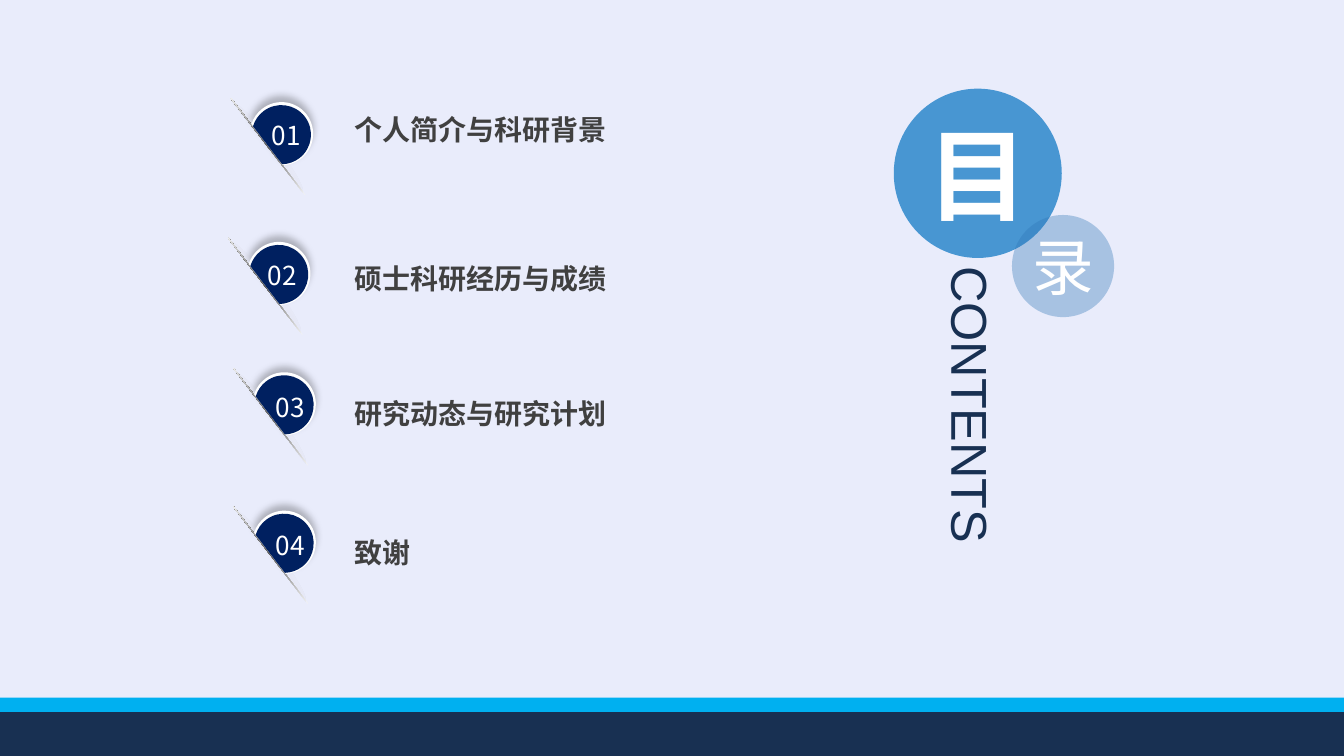
from math import cos, radians, sin, tan

from lxml import etree
from pptx import Presentation
from pptx.dml.color import RGBColor
from pptx.enum.shapes import MSO_SHAPE
from pptx.enum.text import MSO_ANCHOR, MSO_AUTO_SIZE, PP_ALIGN
from pptx.oxml.ns import qn
from pptx.util import Inches, Pt

RECT, OVAL = MSO_SHAPE.RECTANGLE, MSO_SHAPE.OVAL
MIDDLE, TOP = MSO_ANCHOR.MIDDLE, MSO_ANCHOR.TOP
CENTER, LEFT = PP_ALIGN.CENTER, PP_ALIGN.LEFT
GROW = MSO_AUTO_SIZE.SHAPE_TO_FIT_TEXT

PALE = RGBColor(0xE9, 0xEC, 0xFB)
WHITE = RGBColor(0xFF, 0xFF, 0xFF)
BLACK = RGBColor(0, 0, 0)
BLUE = RGBColor(0x00, 0x70, 0xC0)
STEEL = RGBColor(0x2E, 0x75, 0xB6)
SKY = RGBColor(0x00, 0xB0, 0xF0)
DARK = RGBColor(0x18, 0x30, 0x52)
NAVY = RGBColor(0x00, 0x20, 0x60)
INK = RGBColor(0x40, 0x40, 0x40)
MIST = RGBColor(0xF2, 0xF2, 0xF2)
GRAY = RGBColor(0x80, 0x80, 0x80)
STONE = RGBColor(0x59, 0x59, 0x59)
CJK = "Noto Sans CJK SC"

# Content: number, topic, badge corner, number corner, topic top, topic width
ITEMS = [
    ("01", "个人简介与科研背景", (1.54, 1.09), (1.95, 0.84), 0.66, 3.06),
    ("02", "硕士科研经历与成绩", (1.52, 2.13), (1.92, 1.88), 1.77, 3.06),
    ("03", "研究动态与研究计划", (1.56, 3.10), (1.98, 2.86), 2.78, 2.9),
    ("04", "致谢", (1.56, 4.13), (1.98, 3.89), 3.81, 2.9),
]
# Title discs: text, box, fill, opacity, font
DISCS = [
    ("目", (6.65, 0.66, 1.25, 1.26), BLUE, 69,
     dict(size=Pt(54), name=CJK, bold=True)),
    ("录", (7.53, 1.6, 0.76, 0.76), STEEL, 35, dict(size=Pt(33), name=CJK)),
]
BANDS = [(5.19, SKY), (5.3, DARK)]
TILT = 52.5
WIDE, HIGH = 10, 10 * 9 / 16

# Shade under the fold: a start, then three points for each curve
WEDGE = [(0, 0.06), (0.02, 0.03), (0.2, 0), (0.43, 0),
         (0.65, 0), (0.83, 0.02), (0.85, 0.06)]

deck = Presentation()
deck.slide_width, deck.slide_height = Inches(WIDE), Inches(HIGH)
slide = deck.slides.add_slide(deck.slide_layouts[6])
shapes = slide.shapes


def add(parent, tag, **attrs):
    node = etree.SubElement(parent, qn(tag))
    for key, val in attrs.items():
        node.set(key, str(val))
    return node


def fade(node, share):
    add(node, "a:alpha", val=share * 1000)


def clean(shape):
    shape.shadow.inherit = False
    shape.line.fill.background()


def paint(shape, color, share=100):
    clean(shape)
    shape.fill.solid()
    shape.fill.fore_color.rgb = color
    if share < 100:
        fade(next(shape._element.spPr.iter(qn("a:srgbClr"))), share)


def blend(shape, stops, angle):
    clean(shape)
    shape.fill.gradient()
    shape.fill.gradient_angle = (360 - angle) % 360
    slots = next(shape._element.spPr.iter(qn("a:gsLst")))
    for old in list(slots):
        slots.remove(old)
    for place, color, share in stops:
        stop = add(slots, "a:gs", pos=place * 1000)
        tint = add(stop, "a:srgbClr", val=color)
        if share < 100:
            fade(tint, share)


def write(shape, text, font, color, align=LEFT, anchor=MIDDLE,
          inset=(0, 0), space=None, fit=None):
    frame = shape.text_frame
    frame.word_wrap = True
    side, edge = map(Inches, inset)
    values = dict(margin_left=side, margin_right=side, margin_top=edge,
                  margin_bottom=edge, vertical_anchor=anchor)
    if fit:
        values["auto_size"] = fit
    for key, val in values.items():
        setattr(frame, key, val)
    para = frame.paragraphs[0]
    para.alignment, para.line_spacing = align, space
    run = para.add_run()
    run.text = text
    for key, val in font.items():
        setattr(run.font, key, val)
    run.font.color.rgb = color
    add(run._r.get_or_add_rPr(), "a:ea", typeface=font["name"])


def box(kind, place):
    return shapes.add_shape(kind, *map(Inches, place))


def label(place, *args, **opts):
    area = shapes.add_textbox(*map(Inches, place))
    write(area, *args, **opts)
    return area


def outline(points, left, top):
    """Closed curve: each three points after the first make one Bézier."""
    spots = [(Inches(x), Inches(y)) for x, y in points]
    pen = shapes.build_freeform(*spots[0])
    pen.add_line_segments(spots[1:], close=True)
    shape = pen.convert_to_shape(Inches(left), Inches(top))
    shape.rotation = TILT
    route = next(shape._element.spPr.iter(qn("a:path")))
    lines = route.findall(qn("a:lnTo"))[:len(points) - 1]
    for first in range(0, len(lines), 3):
        bend = etree.Element(qn("a:cubicBezTo"))
        lines[first].addprevious(bend)
        for line in lines[first:first + 3]:
            bend.append(line[0])
            route.remove(line)
    return shape


def dome(radius, cut):
    """Circle with its lower part cut off, cut degrees below the middle."""
    turns = [radians(a) for a in (180 - cut, 180, 270, 360, 360 + cut)]

    def spot(turn, pull=0):
        return (radius * (1 + cos(turn) - pull * sin(turn)),
                radius * (1 + sin(turn) + pull * cos(turn)))

    points = [spot(turns[0])]
    for start, end in zip(turns, turns[1:]):
        pull = 4 / 3 * tan((end - start) / 4)
        points += [spot(start, pull), spot(end, -pull), spot(end)]
    return points


def badge(left, top):
    # Fold line and its soft shade
    fold = box(RECT, (left, top, 0.91, 0))
    fold.height = Pt(0.3)
    fold.rotation = TILT
    blend(fold, [(2, MIST, 100), (50, STONE, 100), (100, MIST, 100)], 180)
    blend(outline(WEDGE, left + 0.05, top - 0.04),
          [(26, MIST, 0), (100, GRAY, 27)], 90)
    # White rim with shadow, then the navy face
    rim = outline(dome(0.235, 35), left + 0.36, top - 0.31)
    paint(rim, WHITE)
    cast = add(rim._element.spPr.find(qn("a:effectLst")), "a:outerShdw",
               blurRad=Pt(4), dist=Pt(3), dir=270 * 60000, rotWithShape=0)
    fade(add(cast, "a:srgbClr", val=BLACK), 25)
    paint(outline(dome(0.22, 36), left + 0.37, top - 0.29), NAVY)


# Backdrop
paint(box(RECT, (0, 0, WIDE, HIGH)), PALE)

# Title
for text, place, color, share, font in DISCS:
    disc = box(OVAL, place)
    paint(disc, color, share)
    write(disc, text, font, WHITE, CENTER)
side = label((6.98, 1.98, 0.5, 2.25), "CONTENTS",
             dict(size=Pt(27), name="Arial"), DARK)
side.text_frame._txBody.bodyPr.set("vert", "eaVert")

# Agenda
for number, topic, corner, spot, top, width in ITEMS:
    badge(*corner)
    label((*spot, 0.36, 0.34), number, dict(size=Pt(14), name=CJK), WHITE,
          CENTER, TOP, inset=(0, 0.05), fit=GROW)
    label((2.54, top, width, 0.48), topic,
          dict(size=Pt(15), name=CJK, bold=True), INK, anchor=TOP,
          inset=(0.1, 0.05), space=1.5, fit=GROW)

# Footer bands
for top, color in BANDS:
    paint(box(RECT, (0, top, WIDE, HIGH - top)), color)

deck.save("out.pptx")
